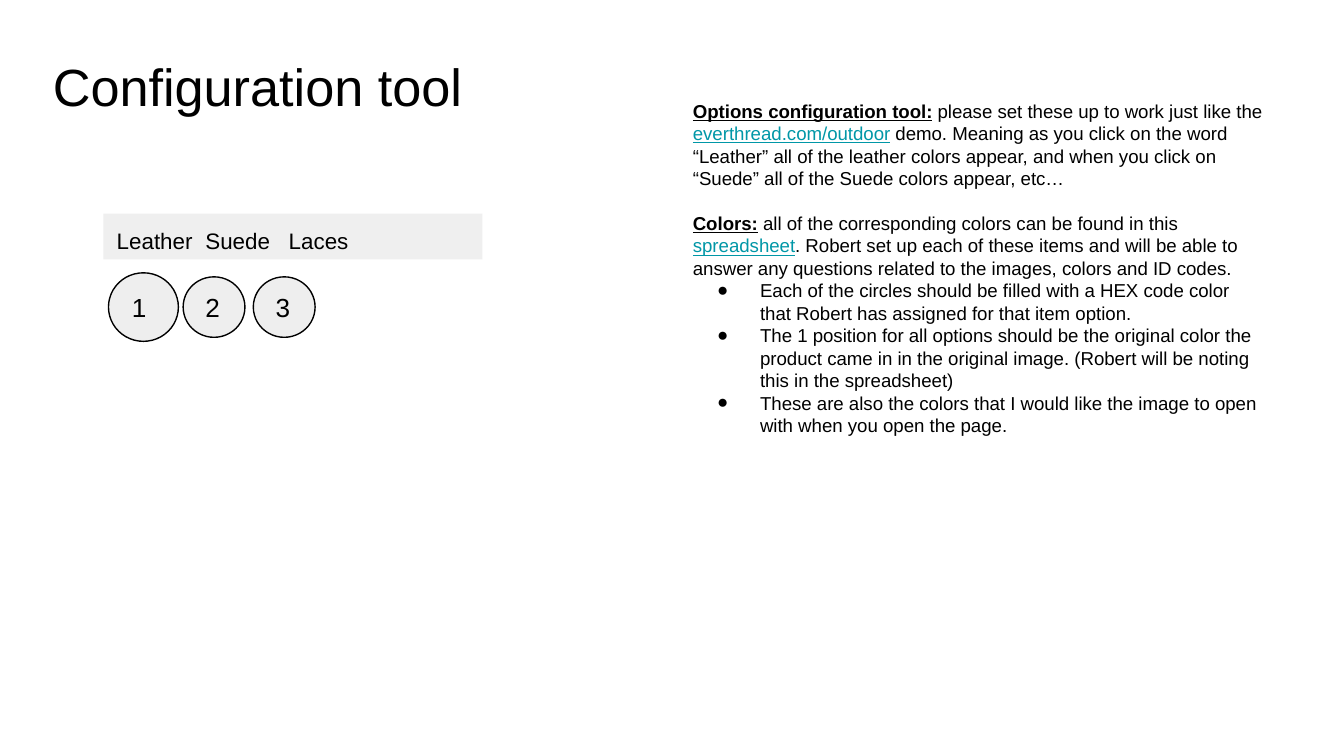
from lxml.etree import SubElement
from pptx import Presentation
from pptx.dml.color import RGBColor
from pptx.enum.shapes import MSO_SHAPE as Shape
from pptx.enum.text import MSO_ANCHOR as Anchor, PP_ALIGN as Align
from pptx.oxml.ns import qn
from pptx.util import Inches, Pt

BLACK = RGBColor(0, 0, 0)
WHITE = RGBColor(255, 255, 255)
TEAL = RGBColor(0x00, 0x97, 0xA7)
BAR = RGBColor(0xEF, 0xEF, 0xEF)
DISC = RGBColor(0xEE, 0xEE, 0xEE)

HEAD, PLAIN, LINK = "head", "plain", "link"
INTRO = [
    [("Options configuration tool:", HEAD),
     (" please set these up to work just like the ", PLAIN),
     ("everthread.com/outdoor", LINK),
     (" demo. Meaning as you click on the word “Leather” all of the leather "
      "colors appear, and when you click on “Suede” all of the Suede colors "
      "appear, etc…", PLAIN)],
    [("Colors:", HEAD),
     (" all of the corresponding colors can be found in this ", PLAIN),
     ("spreadsheet", LINK),
     (". Robert set up each of these items and will be able to answer any "
      "questions related to the images, colors and ID codes.", PLAIN)],
]
NOTES = [
    "Each of the circles should be filled with a HEX code color that Robert "
    "has assigned for that item option.",
    "The 1 position for all options should be the original color the product "
    "came in in the original image. (Robert will be noting this in the "
    "spreadsheet)",
    "These are also the colors that I would like the image to open with when "
    "you open the page.",
]


class Deck:
    font = "Arial"
    cell = 0.1  # inches per grid column and row

    def __init__(self, wide, high):
        self.prs = Presentation()
        self.prs.slide_width, self.prs.slide_height = Inches(wide), Inches(high)
        self.slide = self.prs.slides.add_slide(self.prs.slide_layouts[1])
        fill = self.slide.background.fill
        fill.solid()
        fill.fore_color.rgb = WHITE

    def grid(self, *cells):
        return [Inches(n * self.cell) for n in cells]

    def frame(self, item, anchor=Anchor.TOP):
        box = item.text_frame
        box.word_wrap = True
        box.vertical_anchor = anchor
        box.margin_left = box.margin_right = Inches(0.1)
        box.margin_top = box.margin_bottom = Inches(0.1)
        return box

    def style(self, para, size, gap=0):
        para.alignment = Align.LEFT
        para.space_before = Pt(gap)
        para.font.name = self.font
        para.font.size = Pt(size)
        para.font.color.rgb = BLACK

    def place(self, item, area):
        item.left, item.top, item.width, item.height = self.grid(*area)
        return self.frame(item)

    def title(self, text, area, size):
        box = self.place(self.slide.shapes.title, area)
        box.text = text
        self.style(box.paragraphs[0], size)

    def mark(self, para, char=None):
        """Set the indent and the bullet, or none of either."""
        props = para._p.get_or_add_pPr()
        props.set("marL", str(Inches(0.5) if char else 0))
        props.set("indent", str(Inches(-0.32) if char else 0))
        if char:
            SubElement(props, qn("a:buFont"), typeface=self.font)
            SubElement(props, qn("a:buChar"), char=char)
        else:
            SubElement(props, qn("a:buNone"))

    def body(self, intro, notes, area, size):
        box = self.place(self.slide.placeholders[1], area)
        rows = [(runs, None) for runs in intro]
        rows += [([(note, PLAIN)], "●") for note in notes]
        for i, (runs, char) in enumerate(rows):
            para = box.paragraphs[0] if i == 0 else box.add_paragraph()
            self.mark(para, char)
            self.style(para, size, gap=12 if i and not char else 0)
            for text, kind in runs:
                run = para.add_run()
                run.text = text
                if kind == HEAD:
                    run.font.bold = True
                if kind != PLAIN:
                    run.font.underline = True
                if kind == LINK:
                    run.font.color.rgb = TEAL

    def shape(self, kind, text, area, fill, size, anchor, line=None, tabs=()):
        item = self.slide.shapes.add_shape(kind, *self.grid(*area))
        item.shadow.inherit = False
        item.fill.solid()
        item.fill.fore_color.rgb = fill
        if line:
            item.line.color.rgb = BLACK
            item.line.width = Pt(line)
        else:
            item.line.fill.background()
        box = self.frame(item, anchor)
        box.text = text
        para = box.paragraphs[0]
        if tabs:
            stops = SubElement(para._p.get_or_add_pPr(), qn("a:tabLst"))
            for stop in tabs:
                SubElement(stops, qn("a:tab"), pos=str(Inches(stop)), algn="l")
        self.style(para, size)

    def bar(self, words, area, tabs):
        self.shape(Shape.RECTANGLE, "\t".join(words), area, BAR, 12,
                   Anchor.TOP, tabs=tabs)

    def disc(self, text, left, mid, wide, high):
        self.shape(Shape.OVAL, text, (left, mid - high / 2, wide, high), DISC,
                   14, Anchor.MIDDLE, line=0.75)


def main():
    deck = Deck(10, 10 * 9 / 16)
    deck.title("Configuration tool", (2.93, 3, 93.2, 6.3), 28)
    deck.body(INTRO, NOTES, (50.55, 6.42, 44.5, 45), 10)
    deck.bar(["Leather", "Suede", "Laces"], (7.7, 15.9, 28.2, 3.4), (0.66, 1.28))
    discs = [(8.07, 5.2, 5.1), (13.63, 4.6, 4.5), (18.85, 4.6, 4.5)]
    for num, (left, wide, high) in enumerate(discs, 1):
        deck.disc(str(num), left, 22.85, wide, high)
    deck.prs.save("out.pptx")


if __name__ == "__main__":
    main()
